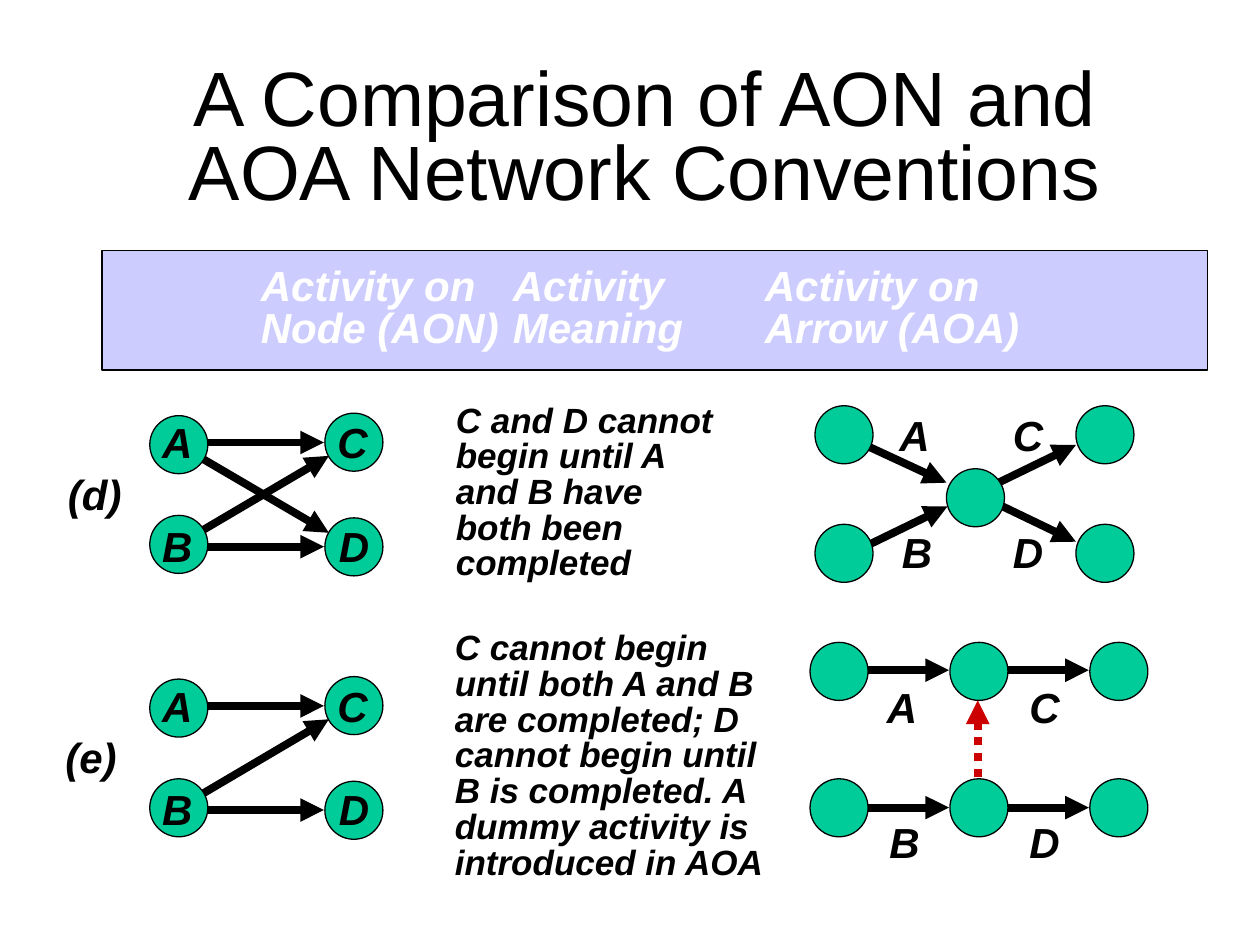
"""Build a slide that compares AON and AOA network conventions."""
import pptx
import pptx.dml.color
import pptx.enum.dml
import pptx.enum.shapes
import pptx.enum.text
import pptx.oxml.xmlchemy
import pptx.util

Cm = pptx.util.Cm
Pt = pptx.util.Pt
Node = pptx.oxml.xmlchemy.OxmlElement
kinds = pptx.enum.shapes.MSO_SHAPE
aligns = pptx.enum.text.PP_ALIGN
anchors = pptx.enum.text.MSO_ANCHOR
inks = {"black": "000000", "white": "FFFFFF", "green": "00CC99",
        "lilac": "CCCCFF", "red": "CC0000"}
hues = {name: pptx.dml.color.RGBColor.from_string(code) for name, code in inks.items()}


def write(shape, text, size=24, ink="black", bold=True, space=None, wrap=True,
          align=aligns.LEFT, anchor=anchors.TOP, tabs=()):
    frame = shape.text_frame
    frame.word_wrap = wrap
    frame.auto_size = pptx.enum.text.MSO_AUTO_SIZE.NONE
    frame.vertical_anchor = anchor
    for index, line in enumerate(text.split("\n")):
        para = frame.add_paragraph() if index else frame.paragraphs[0]
        if tabs:
            stops = Node("a:tabLst")
            for place in tabs:
                stop = Node("a:tab")
                stop.set("pos", str(int(Cm(place))))
                stop.set("algn", "l")
                stops.append(stop)
            para._p.get_or_add_pPr().append(stops)
        para.alignment = align
        para.line_spacing = space
        run = para.add_run()
        run.text = line
        run.font.name = "Arial"
        run.font.size = Pt(size)
        run.font.bold = run.font.italic = bold
        run.font.color.rgb = hues[ink]


def draw(kind, box, fill):
    shape = slide.shapes.add_shape(kind, *map(Cm, box))
    shape.shadow.inherit = False
    shape.fill.solid()
    shape.fill.fore_color.rgb = hues[fill]
    shape.line.color.rgb = hues["black"]
    shape.line.width = Pt(0.75)
    return shape


deck = pptx.Presentation()
deck.slide_width, deck.slide_height = Cm(25.4), Cm(19.05)
slide = deck.slides.add_slide(deck.slide_layouts[5])

title = slide.shapes.title
title.left, title.top, title.width, title.height = map(Cm, (2.21, 1.14, 21.59, 3.4))
write(title, "A Comparison of AON and AOA Network Conventions", size=44, bold=False,
      space=0.8, align=aligns.CENTER, anchor=anchors.MIDDLE)

band = draw(kinds.RECTANGLE, (2.06, 5.05, 22.28, 2.41), "lilac")
frame = band.text_frame
frame.margin_left = frame.margin_right = Cm(0.66)
frame.margin_top = frame.margin_bottom = Cm(0.33)
write(band, "\tActivity on\tActivity\tActivity on\n\tNode (AON)\tMeaning\tArrow (AOA)",
      ink="white", space=0.85, tabs=(2.54, 7.62, 12.7))

notes = [
    ("C and D cannot begin until A and B have both been completed",
     (8.94, 8.03, 5.87, 4.57)),
    ("C cannot begin until both A and B are completed; D cannot begin until B is "
     "completed. A dummy activity is introduced in AOA", (8.92, 12.62, 6.83, 5.28)),
]
for text, box in notes:
    write(slide.shapes.add_textbox(*map(Cm, box)), text, size=20, space=0.85)

discs = [(x, y) for x in (16.43, 21.69) for y in (8.18, 10.57)] + [(19.08, 9.45)]
discs += [(16.33 + 2.82 * col, y) for col in range(3) for y in (12.95, 15.7)]
tags = [("(d)", 1.12, 9.32), ("(e)", 1.07, 14.63),
        ("A", 17.88, 8.13), ("B", 17.93, 10.49), ("C", 20.17, 8.13), ("D", 20.17, 10.49),
        ("A", 17.63, 13.61), ("B", 17.68, 16.33), ("C", 20.5, 13.61), ("D", 20.5, 16.33)]
links = [(3.78, 9.07, 6.63, 10.74, "black"),
         (17.2, 8.86, 19.08, 9.73, "black"), (17.27, 11.1, 19.1, 10.21, "black"),
         (19.86, 9.86, 21.69, 8.97, "black"), (19.84, 10.03, 21.69, 10.92, "black"),
         (19.71, 15.98, 19.71, 14.12, "red")]
links += [(x, y, x + 1.82, y, "black") for x in (17.31, 20.13) for y in (13.51, 16.28)]
for drop in (0, 5.31):
    discs += [(x, y + drop) for x, y in
              ((3.02, 8.38), (3.02, 10.39), (6.55, 8.33), (6.55, 10.44))]
    tags += [(name, x, y + drop) for name, x, y in
             (("A", 3.02, 8.28), ("B", 3.02, 10.36), ("C", 6.55, 8.28), ("D", 6.58, 10.36))]
    links += [(x, y + drop, end, stop + drop, "black") for x, y, end, stop in
              ((3.78, 10.87, 6.63, 9.19), (3.99, 8.92, 6.53, 8.92),
               (4.04, 11.02, 6.53, 11.02))]

for *ends, ink in links:
    link = slide.shapes.add_connector(pptx.enum.shapes.MSO_CONNECTOR.STRAIGHT, *map(Cm, ends))
    link.line.color.rgb = hues[ink]
    link.line.width = Pt(4.5)
    if ink == "red":
        link.line.dash_style = pptx.enum.dml.MSO_LINE.ROUND_DOT
    head = Node("a:tailEnd")
    head.set("type", "triangle")
    shell = link._element.spPr
    shell.get_or_add_ln().append(head)
    shell.append(Node("a:effectLst"))

for x, y in discs:
    draw(kinds.OVAL, (x, y, 1.17, 1.17), "green")

for name, x, y in tags:
    width = 1.12 if len(name) == 1 else 1.58
    write(slide.shapes.add_textbox(Cm(x), Cm(y), Cm(width), Cm(1.27)), name, wrap=False)

deck.save("out.pptx")
